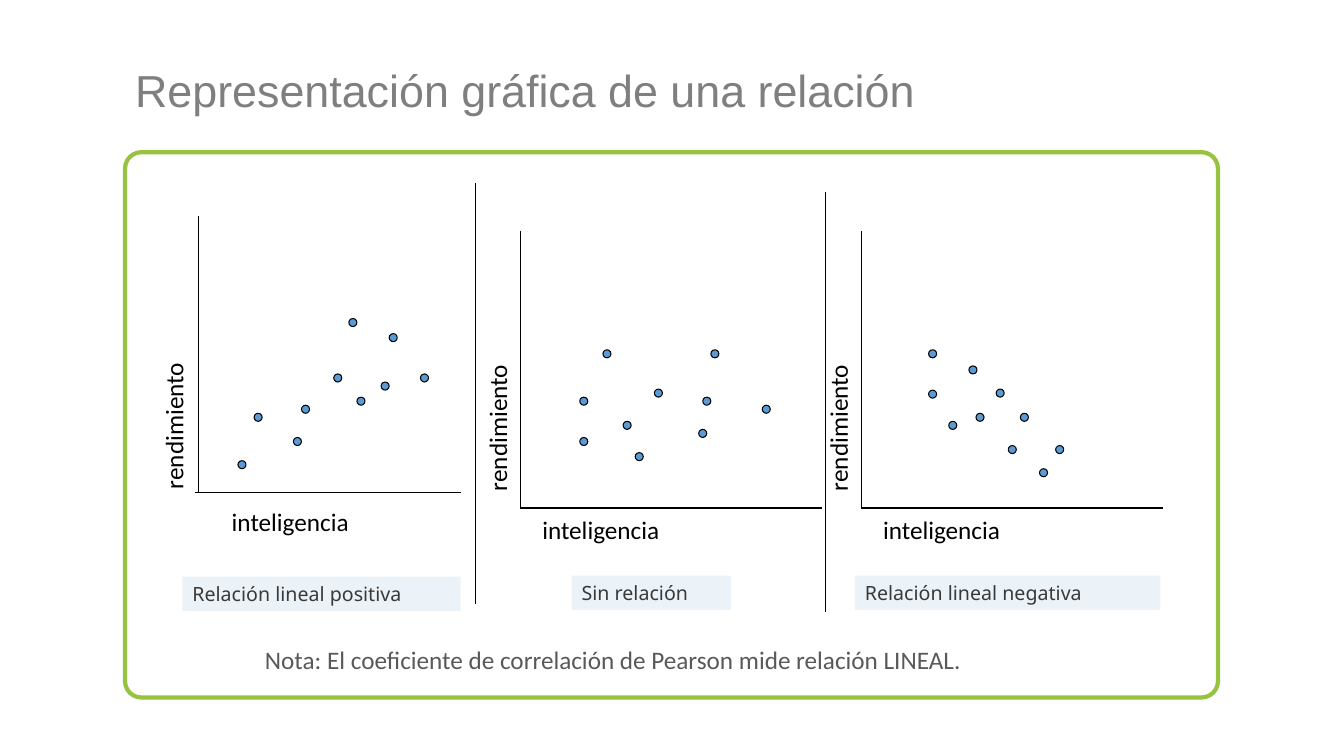
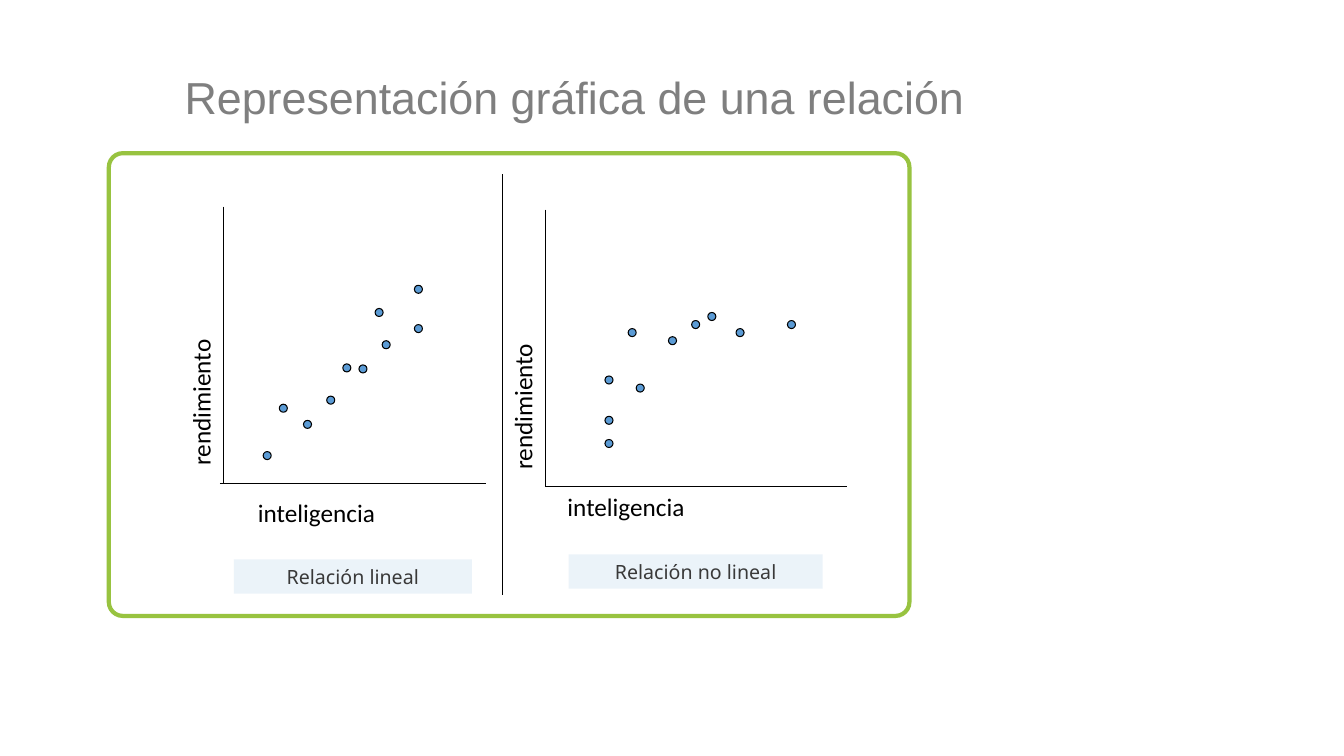
from dataclasses import dataclass

from lxml.etree import SubElement
from pptx import Presentation
from pptx.dml.color import RGBColor
from pptx.enum.shapes import MSO_CONNECTOR, MSO_SHAPE
from pptx.enum.text import MSO_ANCHOR, MSO_AUTO_SIZE, PP_ALIGN
from pptx.oxml.ns import qn
from pptx.util import Emu, Pt

SCALE = 9144  # EMU per px, 100 px to the inch


@dataclass(frozen=True)
class Theme:
    white: str = "FFFFFF"
    black: str = "000000"
    green: str = "98C340"
    blue: str = "5B9BD5"
    pale: str = "DDEAF6"
    head: str = "7F7F7F"
    dark: str = "393939"
    gray: str = "595959"
    title: tuple = ("Arial", 32)
    body: tuple = ("Calibri", 18)
    tag: tuple = ("Noto Sans", 14)
    thin: float = 0.75
    thick: float = 3
    dot: int = 8


def px(*nums):
    return [Emu(round(n * SCALE)) for n in nums]


class Deck:
    def __init__(self, theme):
        self.theme = theme
        self.show = Presentation()
        self.show.slide_width, self.show.slide_height = px(1333, 750)
        self.slide = None

    def page(self, text, box):
        """Start a slide with its title."""
        self.slide = self.show.slides.add_slide(self.show.slide_layouts[5])
        title = self.slide.shapes.title
        title.left, title.top, title.width, title.height = px(*box)
        self.style(title, text, self.theme.title, self.theme.head, PP_ALIGN.JUSTIFY)
        frame = title.text_frame
        frame.auto_size = MSO_AUTO_SIZE.NONE
        frame.vertical_anchor = MSO_ANCHOR.MIDDLE
        frame.paragraphs[0].line_spacing = 0.9

    def style(self, shape, text, face, color, align=PP_ALIGN.LEFT):
        """Set and format the text of a shape."""
        frame = shape.text_frame
        frame.text = text
        frame.word_wrap = True
        frame.auto_size = MSO_AUTO_SIZE.SHAPE_TO_FIT_TEXT
        para = frame.paragraphs[0]
        para.alignment = align
        font = para.runs[0].font
        font.name, font.size = face[0], Pt(face[1])
        font.color.rgb = RGBColor.from_string(color)

    def label(self, text, box, color=None, turn=0):
        shape = self.slide.shapes.add_textbox(*px(*box))
        shape.rotation = turn
        self.style(shape, text, self.theme.body, color or self.theme.black)

    def shape(self, kind, box, fill, line=None, width=0):
        shape = self.slide.shapes.add_shape(kind, *px(*box))
        shape.shadow.inherit = False
        shape.fill.solid()
        shape.fill.fore_color.rgb = RGBColor.from_string(fill)
        if line:
            shape.line.color.rgb = RGBColor.from_string(line)
            shape.line.width = Pt(width)
        else:
            shape.line.fill.background()
        return shape

    def panel(self, box):
        theme = self.theme
        shape = self.shape(MSO_SHAPE.ROUNDED_RECTANGLE, box,
                           theme.white, theme.green, theme.thick)
        shape.adjustments[0] = 0.03

    def tag(self, text, box, align=PP_ALIGN.LEFT):
        """Add a caption on a pale, partly clear band."""
        shape = self.shape(MSO_SHAPE.RECTANGLE, box, self.theme.pale)
        tint = shape._element.spPr.find(".//" + qn("a:srgbClr"))
        SubElement(tint, qn("a:alpha")).set("val", "56000")
        self.style(shape, text, self.theme.tag, self.theme.dark, align)

    def line(self, *ends):
        line = self.slide.shapes.add_connector(MSO_CONNECTOR.STRAIGHT, *px(*ends))
        line.line.color.rgb = RGBColor.from_string(self.theme.black)
        line.line.width = Pt(self.theme.thin)
        SubElement(line._element.spPr, qn("a:effectLst"))

    def plot(self, x, y, dots, span=299, lead=0, under=(12, 1), side=(-23, -141)):
        """Draw axes from the origin, their names, and the dots."""
        theme = self.theme
        self.line(x, y - 275, x, y)
        self.line(x - lead, y, x + span, y)
        self.label("inteligencia", (x + under[0], y + under[1], 252, 40))
        self.label("rendimiento",
                   (x + side[0] - 134, y + side[1] - 20, 268, 40), turn=270)
        for left, top in dots:
            self.shape(MSO_SHAPE.OVAL, (left, top, theme.dot, theme.dot),
                       theme.blue, theme.black, theme.thin)


# Dot places: left and top of each
RISE = [(236, 457), (252, 410), (291, 434), (299, 402), (331, 371),
        (378, 379), (386, 331), (417, 371), (354, 394), (346, 316)]
NONE = [(575, 434), (575, 394), (630, 449), (618, 418), (649, 386),
        (697, 394), (705, 347), (756, 402), (693, 426), (598, 347)]
FALL = [(921, 387), (941, 418), (1000, 442), (921, 347), (988, 386),
        (968, 410), (1047, 442), (1031, 465), (1012, 410), (961, 363)]
STRAIGHT = [(261, 448), (277, 401), (301, 417), (324, 393), (356, 362),
            (411, 283), (411, 322), (379, 338), (340, 361), (372, 306)]
CURVE = [(600, 413), (600, 373), (663, 334), (600, 436), (631, 381),
         (702, 310), (730, 326), (781, 318), (686, 318), (623, 326)]

HEAD = "Representación gráfica de una relación"


def main():
    theme = Theme()
    deck = Deck(theme)

    # Positive, absent and negative relation
    deck.page(HEAD, (124, 52, 1077, 80))
    deck.panel((124, 151, 1084, 541))
    deck.plot(197, 489, RISE, span=260, lead=4, under=(23, 8), side=(-25, -128))
    deck.plot(516, 504, NONE)
    deck.plot(854, 504, FALL)
    deck.line(472, 182, 472, 599)
    deck.line(819, 190, 819, 607)
    deck.tag("Relación lineal positiva", (181, 572, 276, 34))
    deck.tag("Sin relación", (567, 571, 158, 34))
    deck.tag("Relación lineal negativa", (848, 571, 303, 34))
    deck.label("Nota: El coeficiente de correlación de Pearson mide relación LINEAL.",
               (253, 634, 827, 40), theme.gray)

    # Linear and curved relation
    deck.page(HEAD, (173, 59, 982, 80))
    deck.panel((108, 152, 794, 459))
    deck.plot(222, 480, STRAIGHT, span=260, lead=4, under=(24, 8), side=(-23, -142))
    deck.plot(541, 483, CURVE, under=(12, 0))
    deck.line(498, 173, 498, 590)
    deck.tag("Relación lineal", (232, 555, 236, 34), PP_ALIGN.CENTER)
    deck.tag("Relación no lineal", (564, 550, 252, 34), PP_ALIGN.CENTER)

    deck.show.save("out.pptx")


if __name__ == "__main__":
    main()
